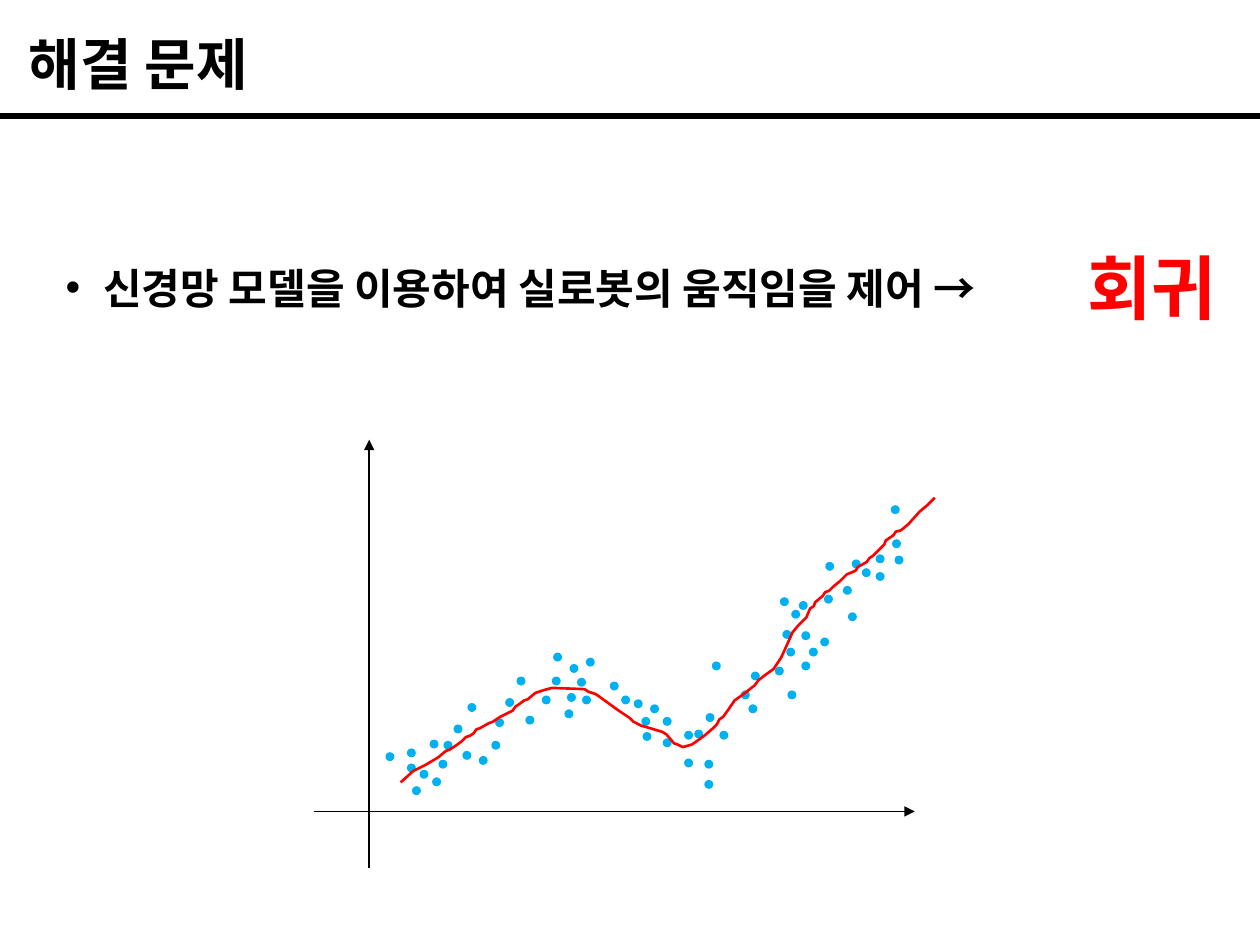
from dataclasses import dataclass

from lxml import etree
from pptx import Presentation
from pptx.dml.color import RGBColor
from pptx.enum.shapes import MSO_CONNECTOR, MSO_SHAPE
from pptx.enum.text import MSO_ANCHOR, MSO_AUTO_SIZE, PP_ALIGN
from pptx.oxml.ns import qn
from pptx.util import Cm, Pt

STRAIGHT = MSO_CONNECTOR.STRAIGHT
OVAL = MSO_SHAPE.OVAL
LEFT = PP_ALIGN.LEFT
TOP = MSO_ANCHOR.TOP
BOTTOM = MSO_ANCHOR.BOTTOM
NO_FIT = MSO_AUTO_SIZE.NONE
CM_PER_UNIT = 2.54
DOT_SIZE = 0.18


@dataclass(frozen=True)
class Theme:
    ink: RGBColor = RGBColor(0, 0, 0)
    accent: RGBColor = RGBColor(255, 0, 0)
    dot: RGBColor = RGBColor(0, 176, 240)
    heading_font: str = "Calibri"
    body_font: str = "Arial"
    title_size: Pt = Pt(32)
    body_size: Pt = Pt(24)
    answer_size: Pt = Pt(40)
    rule_width: Pt = Pt(3)
    axis_width: Pt = Pt(1)
    curve_width: Pt = Pt(1.5)


THEME = Theme()

DOTS = [
    (3.06, 5.97), (3.23, 5.94), (3.23, 6.06), (3.27, 6.24), (3.33, 6.11),
    (3.41, 5.87), (3.43, 6.17), (3.48, 6.03), (3.52, 5.88), (3.60, 5.75),
    (3.67, 5.96), (3.71, 5.58), (3.80, 6.00), (3.90, 5.88), (3.93, 5.70),
    (4.01, 5.54), (4.10, 5.37), (4.17, 5.68), (4.30, 5.52), (4.38, 5.37),
    (4.39, 5.18), (4.48, 5.63), (4.50, 5.50), (4.52, 5.27), (4.58, 5.38),
    (4.62, 5.52), (4.65, 5.22), (4.84, 5.41), (4.93, 5.52), (5.03, 5.55),
    (5.09, 5.69), (5.10, 5.81), (5.16, 5.59), (5.26, 5.69), (5.26, 5.86),
    (5.43, 5.80), (5.43, 6.02), (5.51, 5.79), (5.59, 6.03), (5.59, 6.19),
    (5.60, 5.66), (5.65, 5.25), (5.71, 5.80), (5.88, 5.48), (5.94, 5.59),
    (5.96, 5.33), (6.15, 5.29), (6.19, 4.74), (6.21, 5.00), (6.24, 5.14),
    (6.25, 5.48), (6.28, 4.84), (6.34, 4.77), (6.36, 5.01), (6.36, 5.25),
    (6.42, 5.14), (6.51, 5.06), (6.54, 4.72), (6.55, 4.46), (6.69, 4.65),
    (6.73, 4.86), (6.76, 4.44), (6.84, 4.51), (6.95, 4.40), (6.95, 4.54),
    (7.07, 4.01), (7.08, 4.28), (7.10, 4.41),
]

CURVE = [
    (3.18, 6.21), (3.28, 6.12), (3.38, 6.07), (3.48, 6.01), (3.54, 5.96),
    (3.57, 5.95), (3.63, 5.91), (3.67, 5.88), (3.70, 5.85), (3.73, 5.84),
    (3.76, 5.82), (3.78, 5.79), (3.81, 5.78), (3.88, 5.74), (3.91, 5.73),
    (3.97, 5.69), (4.01, 5.67), (4.07, 5.64), (4.09, 5.61), (4.12, 5.59),
    (4.16, 5.56), (4.19, 5.55), (4.25, 5.50), (4.31, 5.48), (4.38, 5.46),
    (4.64, 5.47), (4.67, 5.49), (4.73, 5.51), (4.80, 5.56), (4.91, 5.64),
    (5.00, 5.70), (5.03, 5.73), (5.09, 5.76), (5.16, 5.78), (5.26, 5.81),
    (5.29, 5.83), (5.35, 5.90), (5.38, 5.91), (5.42, 5.93), (5.49, 5.91),
    (5.52, 5.89), (5.59, 5.84), (5.66, 5.78), (5.69, 5.75), (5.71, 5.71),
    (5.74, 5.69), (5.79, 5.62), (5.83, 5.56), (5.90, 5.51), (5.99, 5.44),
    (6.02, 5.40), (6.07, 5.36), (6.14, 5.31), (6.20, 5.22), (6.25, 5.11),
    (6.29, 5.02), (6.34, 4.96), (6.40, 4.90), (6.43, 4.83), (6.46, 4.81),
    (6.47, 4.78), (6.53, 4.73), (6.55, 4.70), (6.58, 4.69), (6.61, 4.66),
    (6.67, 4.61), (6.72, 4.56), (6.79, 4.53), (6.81, 4.50), (6.88, 4.46),
    (6.90, 4.43), (6.93, 4.41), (7.02, 4.32), (7.03, 4.29), (7.09, 4.25),
    (7.11, 4.22), (7.15, 4.21), (7.21, 4.16), (7.30, 4.06), (7.36, 4.01),
    (7.39, 3.98), (7.42, 3.95),
]


def apply(target, values):
    for name, value in values.items():
        setattr(target, name, value)


def scaled(point):
    return tuple(Cm(value * CM_PER_UNIT) for value in point)


def write_text(box, text, place, font, color=THEME.ink, anchor=TOP, spacing=1.0):
    left, top, width, height = (Cm(value) for value in place)
    apply(box, {"left": left, "top": top, "width": width, "height": height})
    frame = box.text_frame
    apply(frame, {"word_wrap": True, "auto_size": NO_FIT, "vertical_anchor": anchor})
    para = frame.paragraphs[0]
    apply(para, {"alignment": LEFT, "line_spacing": spacing, "space_before": Pt(0)})
    span = para.add_run()
    span.text = text
    apply(span.font, {"bold": True, **font})
    span.font.color.rgb = color
    return para


def hang_bullet(para, margin, hang):
    properties = para._p.get_or_add_pPr()
    properties.set("marL", str(Cm(margin)))
    properties.set("indent", str(-Cm(hang)))
    etree.SubElement(properties, qn("a:buChar")).set("char", "•")


def add_line(page, start, end, width, arrow=False):
    line = page.shapes.add_connector(STRAIGHT, *scaled(start), *scaled(end))
    line.line.color.rgb = THEME.ink
    line.line.width = width
    if arrow:
        etree.SubElement(line.line._get_or_add_ln(), qn("a:tailEnd")).set("type", "triangle")
    etree.SubElement(line._element.spPr, qn("a:effectLst"))


def add_dot(page, corner):
    dot = page.shapes.add_shape(OVAL, *scaled(corner), Cm(DOT_SIZE), Cm(DOT_SIZE))
    dot.shadow.inherit = False
    dot.fill.solid()
    dot.fill.fore_color.rgb = THEME.dot
    dot.line.fill.background()


def add_curve(page, points):
    start, *rest = [scaled(point) for point in points]
    builder = page.shapes.build_freeform(*start)
    builder.add_line_segments(rest, close=False)
    curve = builder.convert_to_shape()
    curve.shadow.inherit = False
    curve.fill.background()
    curve.line.color.rgb = THEME.accent
    curve.line.width = THEME.curve_width


def main():
    deck = Presentation()
    apply(deck, {"slide_width": Cm(25.4), "slide_height": Cm(19.05)})
    page = deck.slides.add_slide(deck.slide_layouts[1])
    add_line(page, (0, 0.92), (10, 0.92), THEME.rule_width)

    write_text(page.shapes.title, "해결 문제", (0.33, 0.3, 14.33, 1.8),
               {"name": THEME.heading_font, "size": THEME.title_size},
               anchor=BOTTOM, spacing=0.9)
    task = write_text(page.placeholders[1], "신경망 모델을 이용하여 실로봇의 움직임을 제어 →",
                      (0.81, 5.16, 21.23, 1.27),
                      {"name": THEME.body_font, "size": THEME.body_size})
    hang_bullet(task, 1.02, 0.76)
    write_text(page.shapes.add_textbox(0, 0, 0, 0), "회귀", (21.67, 4.8, 3.35, 1.96),
               {"name": THEME.body_font, "size": THEME.answer_size}, THEME.accent)

    add_line(page, (2.49, 6.44), (7.26, 6.44), THEME.axis_width, arrow=True)
    add_line(page, (2.93, 6.89), (2.93, 3.49), THEME.axis_width, arrow=True)
    for corner in DOTS:
        add_dot(page, corner)
    add_curve(page, CURVE)
    deck.save("out.pptx")


if __name__ == "__main__":
    main()
